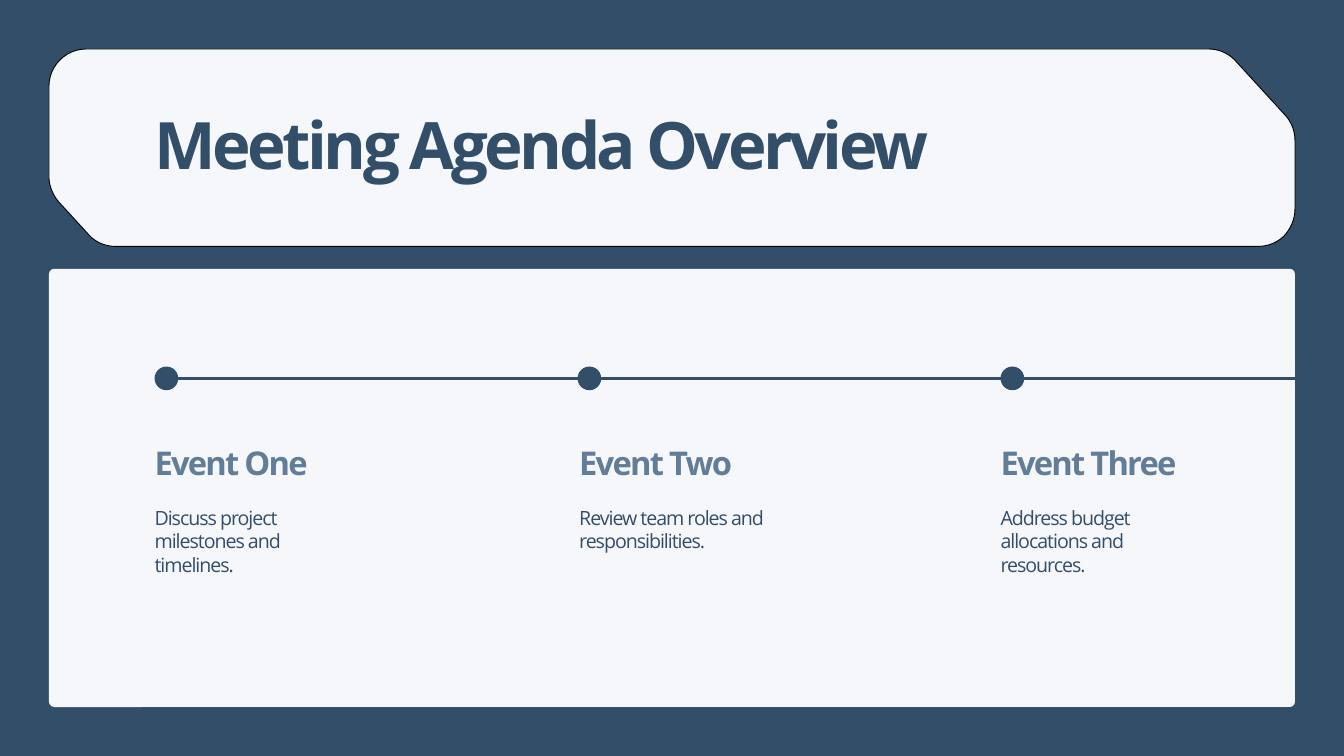
from dataclasses import dataclass

import lxml.etree
import pptx
import pptx.dml.color
import pptx.enum.shapes
import pptx.enum.text
import pptx.oxml.ns
import pptx.util

Pt = pptx.util.Pt
Point = tuple[float, float]

COLORS = {"navy": "334E68", "slate": "627D98", "panel": "F5F7FA", "outline": "000000"}
FONT = "Open Sans"

LEFT, RIGHT = 52.5, 1387.5
HEADER_TOP, HEADER_BOTTOM = 52.5, 264
PANEL_TOP, PANEL_BOTTOM, PANEL_RADIUS = 288, 757.5, 5.6
MARGIN = 165.6
DOT_SIZE, DOT_STEP, LINE_Y = 25.4, 453.2, 405.4
HEADING_TOP, DETAIL_TOP = 474.5, 542


@dataclass
class Event:
    heading: str
    detail: str
    left: float
    width: float
    height: float


@dataclass
class Corner:
    start: Point
    control_1: Point
    control_2: Point
    end: Point

    def points(self, steps: int = 12) -> list[Point]:
        result = []
        for i in range(steps + 1):
            t = i / steps
            u = 1 - t
            weights = (u**3, 3 * u * u * t, 3 * u * t * t, t**3)
            curve = (self.start, self.control_1, self.control_2, self.end)
            result.append(tuple(sum(w * c[axis] for w, c in zip(weights, curve)) for axis in (0, 1)))
        return result


EVENTS = [
    Event("Event One", "Discuss project milestones and timelines.", MARGIN, 202.3, 75),
    Event("Event Two", "Review team roles and responsibilities.", 620.6, 200.9, 50.4),
    Event("Event Three", "Address budget allocations and resources.", 1072, 202.3, 75),
]

HEADER_CORNERS = [
    Corner((92.2, HEADER_TOP), (70.6, HEADER_TOP), (LEFT, 70.6), (LEFT, 92.2)),
    Corner((LEFT, 189.4), (LEFT, 198.7), (56.2, 208.1), (62.6, 216)),
    Corner((94.3, 250.6), (101.5, 259.2), (112.3, HEADER_BOTTOM), (123.8, HEADER_BOTTOM)),
    Corner((1347.8, HEADER_BOTTOM), (1358.6, HEADER_BOTTOM), (1368.7, 259.9), (1375.9, 252.7)),
    Corner((1375.9, 252.7), (1383.1, 244.8), (RIGHT, 234.7), (RIGHT, 223.9)),
    Corner((RIGHT, 150.5), (RIGHT, 140.4), (1383.8, 131), (1377.4, 123.8)),
    Corner((1324.1, 65.5), (1316.2, 56.9), (1306.1, HEADER_TOP), (1294.6, HEADER_TOP)),
]


def rgb(name: str) -> pptx.dml.color.RGBColor:
    return pptx.dml.color.RGBColor.from_string(COLORS[name])


def style(sp, fill: str, line: str | None = None) -> None:
    sp.shadow.inherit = False
    sp.fill.solid()
    sp.fill.fore_color.rgb = rgb(fill)
    if line:
        sp.line.color.rgb = rgb(line)
        sp.line.width = Pt(1)
    else:
        sp.line.fill.background()


def add_text(s, text: str, *, left: float, top: float, width: float, height: float,
             size: float, leading: float, tracking: float, color: str, bold: bool = False) -> None:
    tf = s.shapes.add_textbox(Pt(left), Pt(top), Pt(width), Pt(height)).text_frame
    tf.margin_left = tf.margin_top = tf.margin_right = tf.margin_bottom = 0
    tf.word_wrap = True
    tf.auto_size = pptx.enum.text.MSO_AUTO_SIZE.SHAPE_TO_FIT_TEXT
    p = tf.paragraphs[0]
    p.line_spacing = Pt(leading)
    r = p.add_run()
    r.text = text
    r.font.name = FONT
    r.font.size = Pt(size)
    r.font.bold = bold
    r.font.color.rgb = rgb(color)
    r.font._element.set("spc", str(round(tracking * 100)))


def add_header(s) -> None:
    points = [(Pt(x), Pt(y)) for corner in HEADER_CORNERS for x, y in corner.points()]
    builder = s.shapes.build_freeform(*points[0])
    builder.add_line_segments(points[1:], close=True)
    style(builder.convert_to_shape(), "panel", "outline")


def add_panel(s) -> None:
    height = PANEL_BOTTOM - PANEL_TOP
    sp = s.shapes.add_shape(pptx.enum.shapes.MSO_SHAPE.ROUNDED_RECTANGLE,
                            Pt(LEFT), Pt(PANEL_TOP), Pt(RIGHT - LEFT), Pt(height))
    sp.adjustments[0] = PANEL_RADIUS / height
    style(sp, "panel")


def add_timeline(s) -> None:
    line = s.shapes.add_connector(pptx.enum.shapes.MSO_CONNECTOR.STRAIGHT,
                                  Pt(MARGIN + DOT_SIZE / 2), Pt(LINE_Y), Pt(RIGHT), Pt(LINE_Y))
    line.line.color.rgb = rgb("navy")
    line.line.width = Pt(3)
    lxml.etree.SubElement(line._element.spPr, pptx.oxml.ns.qn("a:effectLst"))
    for i in range(len(EVENTS)):
        dot = s.shapes.add_shape(pptx.enum.shapes.MSO_SHAPE.OVAL,
                                 Pt(MARGIN + i * DOT_STEP), Pt(LINE_Y - DOT_SIZE / 2),
                                 Pt(DOT_SIZE), Pt(DOT_SIZE))
        style(dot, "navy")


def add_event(s, event: Event) -> None:
    add_text(s, event.heading, left=event.left, top=HEADING_TOP, width=event.width, height=42,
             size=35, leading=42, tracking=-1.9, color="slate", bold=True)
    add_text(s, event.detail, left=event.left, top=DETAIL_TOP, width=event.width,
             height=event.height, size=21, leading=25.2, tracking=-1.1, color="navy")


def main() -> None:
    prs = pptx.Presentation()
    prs.slide_width, prs.slide_height = Pt(1440), Pt(810)
    s = prs.slides.add_slide(prs.slide_layouts[6])
    s.background.fill.solid()
    s.background.fill.fore_color.rgb = rgb("navy")

    add_header(s)
    add_panel(s)
    add_text(s, "Meeting Agenda Overview", left=MARGIN, top=129.6, width=1108.8, height=70.6,
             size=70, leading=66.5, tracking=-3.8, color="navy", bold=True)
    for event in EVENTS:
        add_event(s, event)
    add_timeline(s)
    prs.save("out.pptx")


if __name__ == "__main__":
    main()
